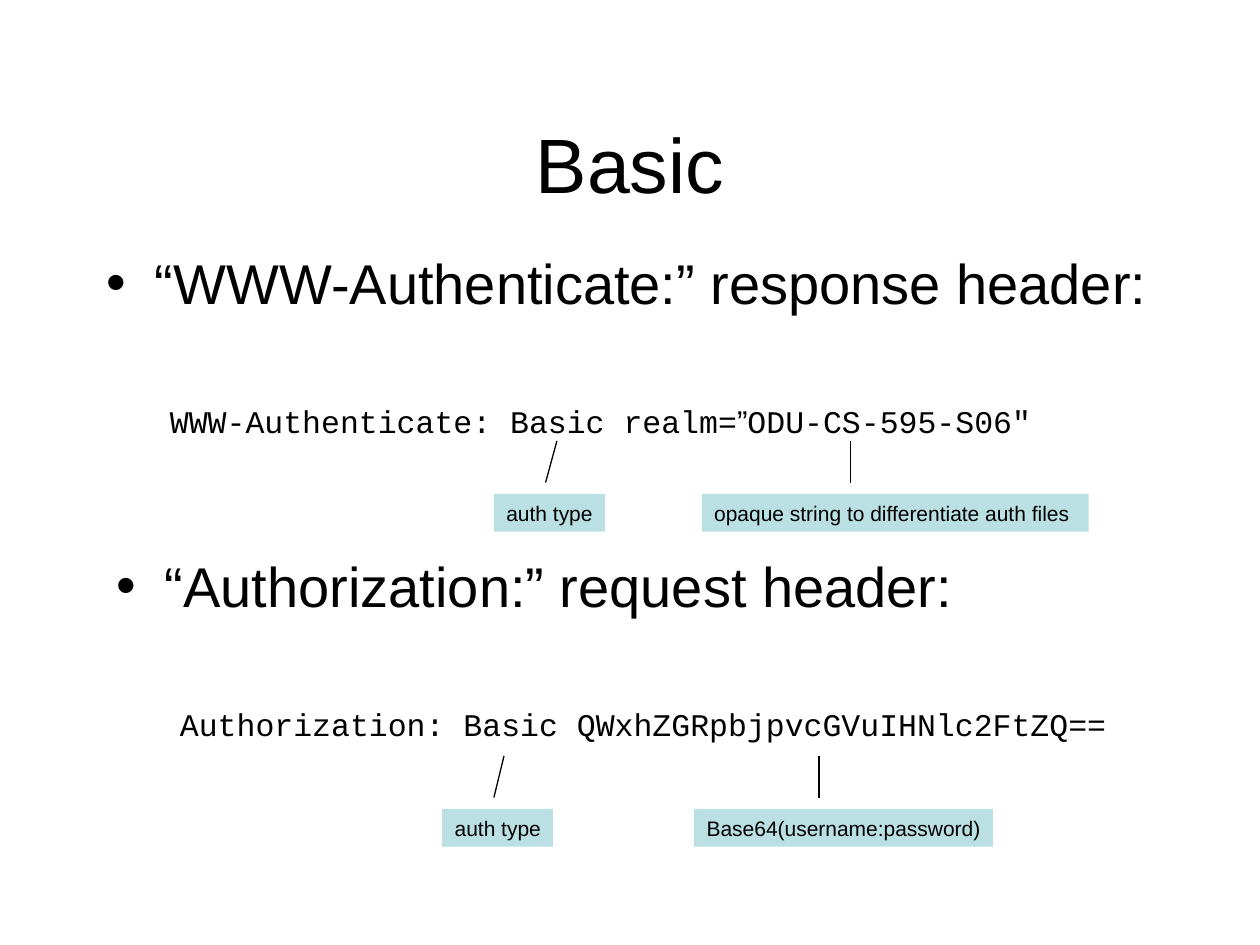
from lxml import etree
from pptx import Presentation
from pptx.dml.color import RGBColor
from pptx.enum.shapes import MSO_CONNECTOR, MSO_SHAPE
from pptx.enum.text import MSO_ANCHOR, PP_ALIGN
from pptx.oxml.ns import qn
from pptx.util import Inches, Pt

STRAIGHT = MSO_CONNECTOR.STRAIGHT
RECTANGLE = MSO_SHAPE.RECTANGLE
TOP, MIDDLE = MSO_ANCHOR.TOP, MSO_ANCHOR.MIDDLE
LEFT, CENTER = PP_ALIGN.LEFT, PP_ALIGN.CENTER
COLORS = {"ink": "000000", "label": "BBE0E3"}
SANS, MONO = "Arial", "Courier New"
TITLE_ONLY = 5
LABEL_HEIGHT = 0.3
POINTER_HEIGHT = 0.33
POINTER_GAP = 0.09


def color(name):
    return RGBColor.from_string(COLORS[name])


def set_font(font, size, face):
    font.size = Pt(size)
    font.name = face
    font.color.rgb = color("ink")


def add_title(slide, text, left, top, width, height):
    title = slide.shapes.title
    title.left, title.top = Inches(left), Inches(top)
    title.width, title.height = Inches(width), Inches(height)
    title.text_frame.text = text
    title.text_frame.vertical_anchor = MIDDLE
    heading = title.text_frame.paragraphs[0]
    heading.alignment = CENTER
    set_font(heading.font, 44, SANS)


def set_indent(paragraph, margin, indent):
    properties = paragraph._p.get_or_add_pPr()
    properties.set("marL", str(Inches(margin)))
    properties.set("indent", str(Inches(indent)))
    return properties


def add_header_example(slide, heading_text, code_runs, left, top, width, height):
    box = slide.shapes.add_textbox(Inches(left), Inches(top), Inches(width), Inches(height))
    frame = box.text_frame
    frame.word_wrap = True

    heading = frame.paragraphs[0]
    heading.text = heading_text
    properties = set_indent(heading, 0.38, -0.38)
    etree.SubElement(properties, qn("a:buFont"), typeface=SANS)
    etree.SubElement(properties, qn("a:buChar"), char="•")
    set_font(heading.font, 32, SANS)

    code = frame.add_paragraph()
    code.level = 1
    set_indent(code, 0.81, -0.31)
    code.space_before = Pt(49.3)
    set_font(code.font, 18, MONO)
    for text, face in code_runs:
        run = code.add_run()
        run.text = text
        run.font.name = face


def add_callout(slide, text, left, top, width, pointer_x, slant=0):
    callout = slide.shapes.add_group_shape().shapes
    pointer_bottom = top - POINTER_GAP
    pointer = callout.add_connector(
        STRAIGHT, Inches(pointer_x), Inches(pointer_bottom),
        Inches(pointer_x + slant), Inches(pointer_bottom - POINTER_HEIGHT))
    pointer.line.color.rgb = color("ink")
    pointer.line.width = Pt(0.75)
    etree.SubElement(pointer._element.spPr, qn("a:effectLst"))

    label = callout.add_shape(
        RECTANGLE, Inches(left), Inches(top), Inches(width), Inches(LABEL_HEIGHT))
    label.shadow.inherit = False
    label.fill.solid()
    label.fill.fore_color.rgb = color("label")
    label.line.fill.background()
    frame = label.text_frame
    frame.word_wrap = False
    frame.vertical_anchor = TOP
    caption = frame.paragraphs[0]
    caption.text = text
    caption.alignment = LEFT
    set_font(caption.font, 12, SANS)


def main():
    presentation = Presentation()
    presentation.slide_width, presentation.slide_height = Inches(10), Inches(7.5)
    slide = presentation.slides.add_slide(presentation.slide_layouts[TITLE_ONLY])

    add_title(slide, "Basic", 0.75, 0.67, 8.5, 1.25)
    add_header_example(
        slide, "“Authorization:” request header:",
        [("Authorization: Basic QWxhZGRpbjpvcGVuIHNlc2FtZQ==", MONO)],
        0.83, 4.33, 8.5, 1.75)
    add_header_example(
        slide, "“WWW-Authenticate:” response header:",
        [("WWW-Authenticate: Basic realm=", MONO), ("”", SANS), ('ODU-CS-595-S06"', MONO)],
        0.75, 1.92, 8.92, 1.67)

    response_top, request_top = 3.92, 6.42
    add_callout(slide, "auth type", 3.92, response_top, 0.88, 4.33, 0.09)
    add_callout(slide, "opaque string to differentiate auth files", 5.57, response_top, 3.07, 6.75)
    add_callout(slide, "auth type", 3.51, request_top, 0.88, 3.92, 0.08)
    add_callout(slide, "Base64(username:password)", 5.51, request_top, 2.37, 6.5)

    presentation.save("out.pptx")


if __name__ == "__main__":
    main()
